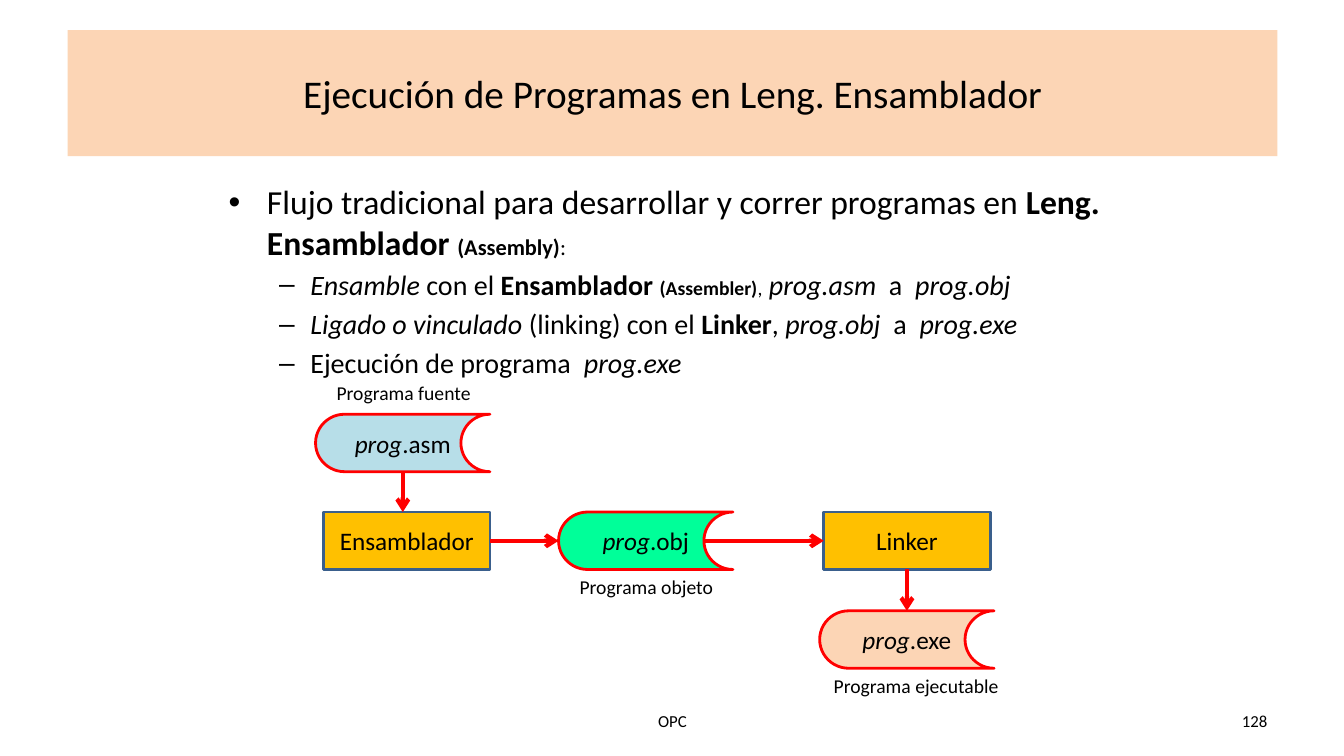
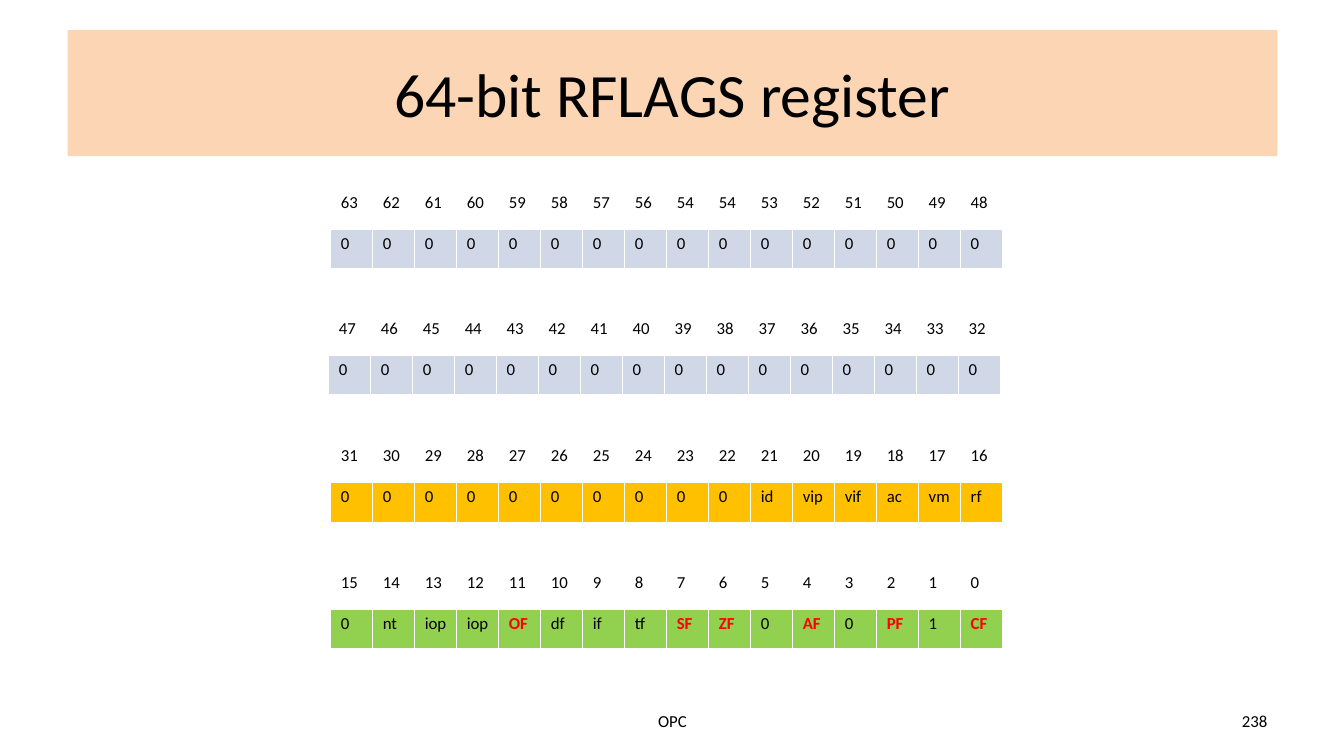
from lxml import etree
from pptx import Presentation
from pptx.dml.color import RGBColor
from pptx.enum import shapes, text
from pptx.oxml.ns import qn
from pptx.util import Inches, Pt

FONT = "Calibri"
BLACK, WHITE, RED = "000000", "FFFFFF", "FF0000"
PEACH, AMBER, NAVY = "FCD5B5", "FFC000", "3A5F8C"
SKY, MINT, GREEN, GREY = "B7DEE8", "00FF99", "92D050", "D0D8E8"
LEFT, MID, RIGHT = text.PP_ALIGN.LEFT, text.PP_ALIGN.CENTER, text.PP_ALIGN.RIGHT
RECT = shapes.MSO_SHAPE.RECTANGLE
STEP = shapes.MSO_SHAPE.FLOWCHART_PROCESS
FILE = shapes.MSO_SHAPE.FLOWCHART_STORED_DATA
HIGH = 0.57

# Each body line: level, then runs of (text, size, style)
BODY = [
    (0, [("Flujo tradicional para desarrollar y correr programas en ", 24, ""),
         ("Leng. Ensamblador ", 24, "b"), ("(Assembly)", 16, "b"),
         (":", 16, "")]),
    (1, [("Ensamble", 20, "i"), (" con el ", 20, ""),
         ("Ensamblador ", 20, "b"), ("(Assembler)", 14, "b"), (",", 14, ""),
         (" ", 20, ""), ("prog.asm", 20, "i"), ("  a  ", 20, ""),
         ("prog.obj", 20, "i")]),
    (1, [("Ligado o vinculado", 20, "i"), (" (linking) con el ", 20, ""),
         ("Linker", 20, "b"), (", ", 20, ""), ("prog.obj", 20, "i"),
         ("  a  ", 20, ""), ("prog.exe", 20, "i")]),
    (1, [("Ejecución de programa  ", 20, ""), ("prog.exe", 20, "i")]),
]
# Bullet, left margin and hanging indent of each level
LEVELS = [("•", 0.38, 0.38), ("–", 0.81, 0.31)]

ZEROS = ["0"] * 16
# Each word: left, top, fill, bit numbers, flags
WORDS = [
    (3.28, 1.86, GREY,
     [63, 62, 61, 60, 59, 58, 57, 56, 54, 54, 53, 52, 51, 50, 49, 48], ZEROS),
    (3.26, 3.11, GREY, range(47, 31, -1), ZEROS),
    (3.28, 4.37, AMBER, range(31, 15, -1),
     ZEROS[:10] + "id vip vif ac vm rf".split()),
    (3.28, 5.63, GREEN, range(15, -1, -1),
     "0 nt iop iop OF df if tf SF ZF 0 AF 0 PF 1 CF".split()),
]


def rgb(code):
    return RGBColor.from_string(code)


def write(para, runs, align=LEFT, color=BLACK):
    para.alignment = align
    for words, size, style in runs:
        run = para.add_run()
        run.text = words
        font = run.font
        font.name, font.size = FONT, Pt(size)
        font.bold, font.italic = "b" in style, "i" in style
        font.color.rgb = rgb(color)


def label(slide, box, runs, align=LEFT, anchor=text.MSO_ANCHOR.TOP):
    frame = slide.shapes.add_textbox(*map(Inches, box)).text_frame
    frame.word_wrap = True
    frame.vertical_anchor = anchor
    write(frame.paragraphs[0], runs, align)
    return frame


def block(slide, kind, box, fill, runs, line=None):
    shape = slide.shapes.add_shape(kind, *map(Inches, box))
    shape.shadow.inherit = False
    shape.fill.solid()
    shape.fill.fore_color.rgb = rgb(fill)
    if line:
        shape.line.color.rgb = rgb(line)
        shape.line.width = Pt(2)
    else:
        shape.line.fill.background()
    frame = shape.text_frame
    frame.margin_left = frame.margin_right = 0
    frame.vertical_anchor = text.MSO_ANCHOR.MIDDLE
    write(frame.paragraphs[0], runs, MID)
    return shape


def base(deck, title, size, number):
    """Add a slide with the title band and the footer."""
    slide = deck.slides.add_slide(deck.slide_layouts[6])
    block(slide, RECT, (0.67, 0.3, 12, 1.25), PEACH, [(title, size, "")])
    middle = text.MSO_ANCHOR.MIDDLE
    label(slide, (4.56, 6.95, 4.22, 0.4), [("OPC", 12, "")], MID, middle)
    label(slide, (9.56, 6.95, 3.11, 0.4), [(number, 12, "")], RIGHT, middle)
    return slide


def bullets(slide, box, lines):
    frame = slide.shapes.add_textbox(*map(Inches, box)).text_frame
    frame.word_wrap = True
    for index, (level, runs) in enumerate(lines):
        para = frame.add_paragraph() if index else frame.paragraphs[0]
        para.level = level
        mark, left, hang = LEVELS[level]
        props = para._p.get_or_add_pPr()
        props.set("marL", str(Inches(left)))
        props.set("indent", str(-Inches(hang)))
        etree.SubElement(props, qn("a:buFont"), typeface="Arial")
        etree.SubElement(props, qn("a:buChar"), char=mark)
        if index:
            para.space_before = Pt(4)
        write(para, runs)


def arrow(slide, start, end):
    link = slide.shapes.add_connector(
        shapes.MSO_CONNECTOR.STRAIGHT, *start, *end)
    link.line.color.rgb = rgb(RED)
    link.line.width = Pt(3)
    etree.SubElement(link.line._get_or_add_ln(), qn("a:tailEnd"), type="arrow")
    etree.SubElement(link._element.spPr, qn("a:effectLst"))


def down(slide, upper, lower):
    x = upper.left + upper.width // 2
    arrow(slide, (x, upper.top + upper.height), (x, lower.top))


def across(slide, first, second):
    """Join two blocks; a file's right edge curves in by a sixth."""
    wide = first.width
    if first.auto_shape_type == FILE:
        wide = wide * 5 // 6
    y = first.top + first.height // 2
    arrow(slide, (first.left + wide, y), (second.left, y))


def flow(slide, x, y):
    """Draw the build steps from the top left corner of the first file."""
    def file(dx, dy, fill, ending):
        return block(slide, FILE, (x + dx, y + dy, 1.73, HIGH), fill,
                     [("prog", 18, "i"), (ending, 18, "")], RED)

    def step(dx, dy, name):
        return block(slide, STEP, (x + dx, y + dy, 1.65, HIGH), AMBER,
                     [(name, 18, "")], NAVY)

    source = file(0, 0, SKY, ".asm")
    builder = step(0.08, 0.97, "Ensamblador")
    middle = file(2.41, 0.97, MINT, ".obj")
    linker = step(5.04, 0.97, "Linker")
    result = file(5, 1.95, PEACH, ".exe")
    down(slide, source, builder)
    across(slide, builder, middle)
    across(slide, middle, linker)
    down(slide, linker, result)
    for dx, dy, kind in [(0.11, -0.38, "fuente"), (2.52, 1.54, "objeto"),
                         (5.04, 2.53, "ejecutable")]:
        label(slide, (x + dx, y + dy, 1.9, 0.34),
              [("Programa " + kind, 14, "")])


def edges(cell, bottom):
    props = cell._tc.get_or_add_tcPr()
    for side, wide in zip("LRTB", (1, 1, 1, bottom)):
        line = etree.SubElement(props, qn("a:ln" + side), w=str(Pt(wide)))
        fill = etree.SubElement(line, qn("a:solidFill"))
        etree.SubElement(fill, qn("a:srgbClr"), val=WHITE)


def register(slide, x, y, fill, bits, flags):
    """Draw 16 bits: numbers above, flags below, status flags in red."""
    box = map(Inches, (x, y, 6.67, 0.81))
    table = slide.shapes.add_table(2, 16, *box).table
    table.first_row = table.horz_banding = False
    rows = [(WHITE, 3, map(str, bits)), (fill, 1, flags)]
    for r, (back, bottom, items) in enumerate(rows):
        for c, item in enumerate(items):
            cell = table.cell(r, c)
            edges(cell, bottom)
            cell.fill.solid()
            cell.fill.fore_color.rgb = rgb(back)
            status = item.isupper()
            write(cell.text_frame.paragraphs[0],
                  [(item, 12, "b" if status else "")],
                  color=RED if status else BLACK)


def main():
    deck = Presentation()
    deck.slide_width, deck.slide_height = Inches(13.33), Inches(7.5)
    slide = base(deck, "Ejecución de Programas en Leng. Ensamblador", 28, "128")
    bullets(slide, (2.17, 1.75, 9, 1.94), BODY)
    flow(slide, 3.13, 4.11)
    slide = base(deck, "64-bit RFLAGS register", 44, "238")
    for word in WORDS:
        register(slide, *word)
    deck.save("out.pptx")


if __name__ == "__main__":
    main()
